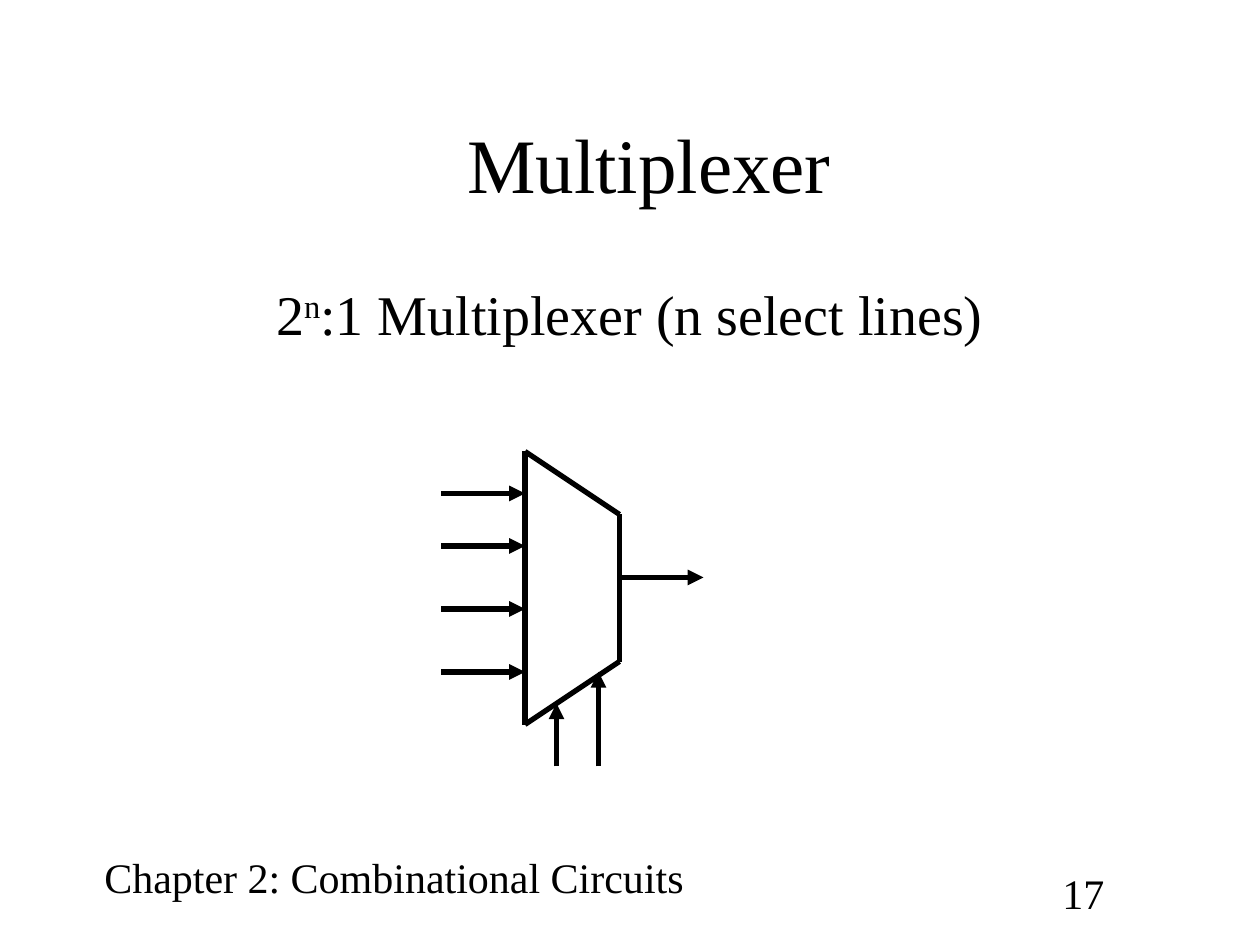
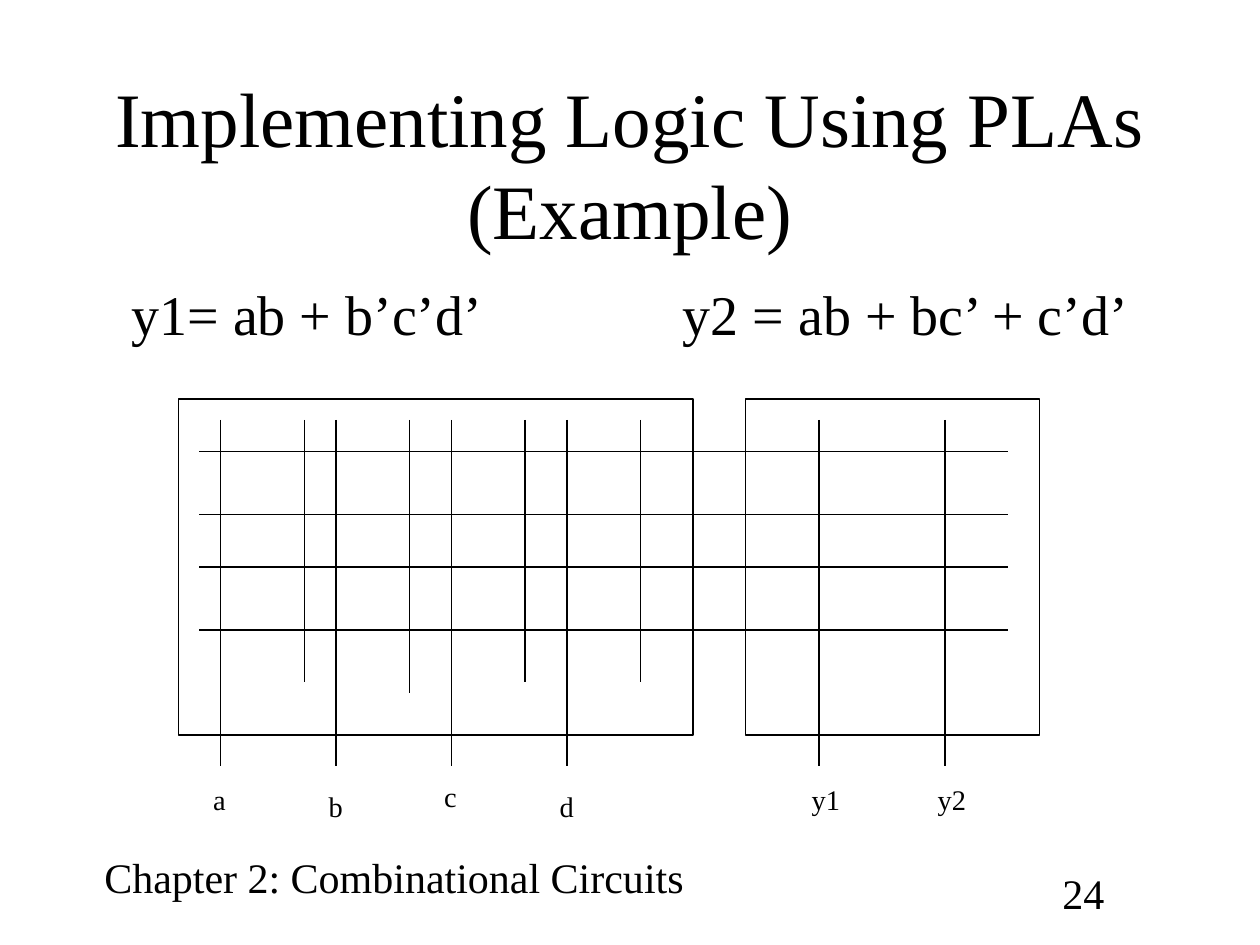
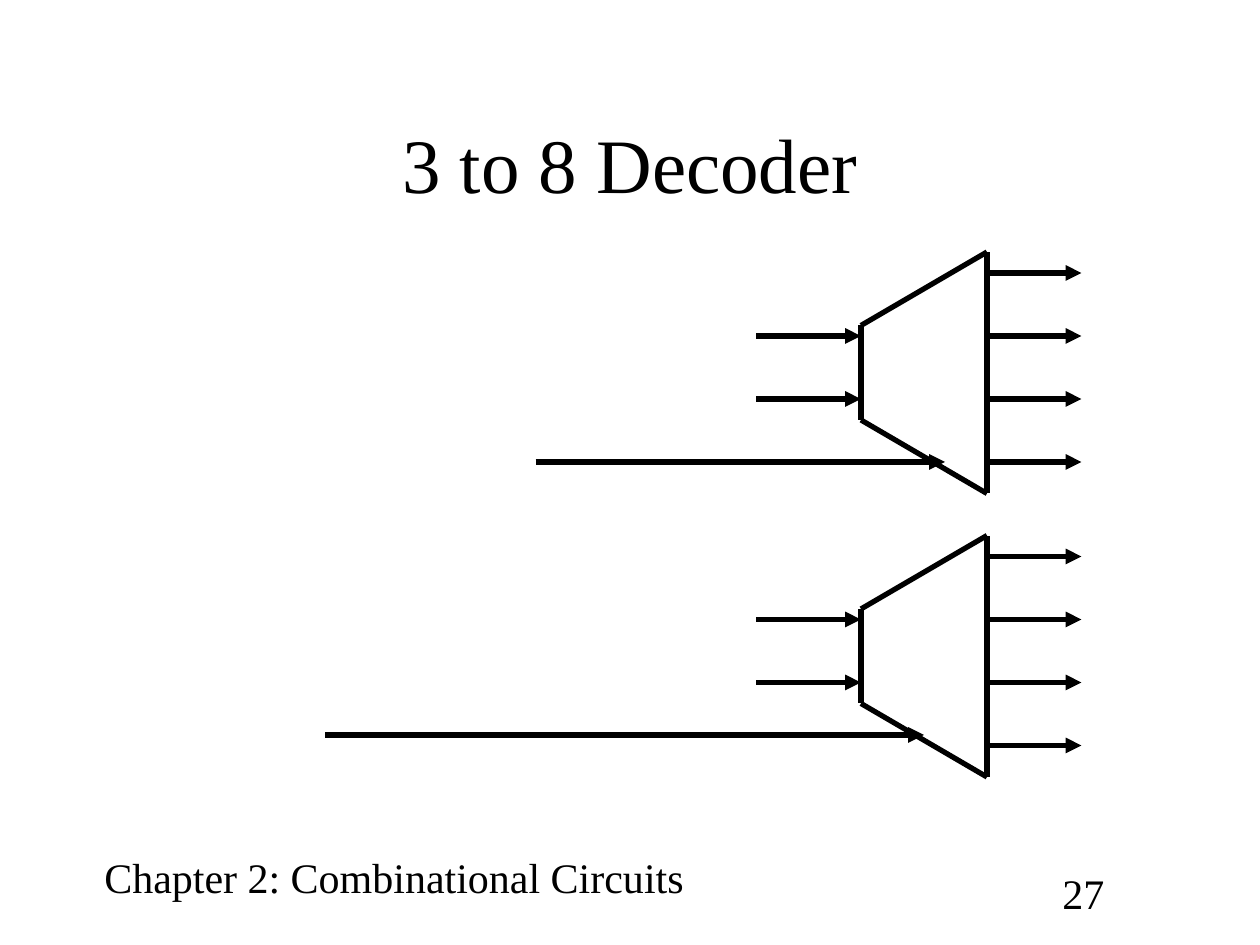
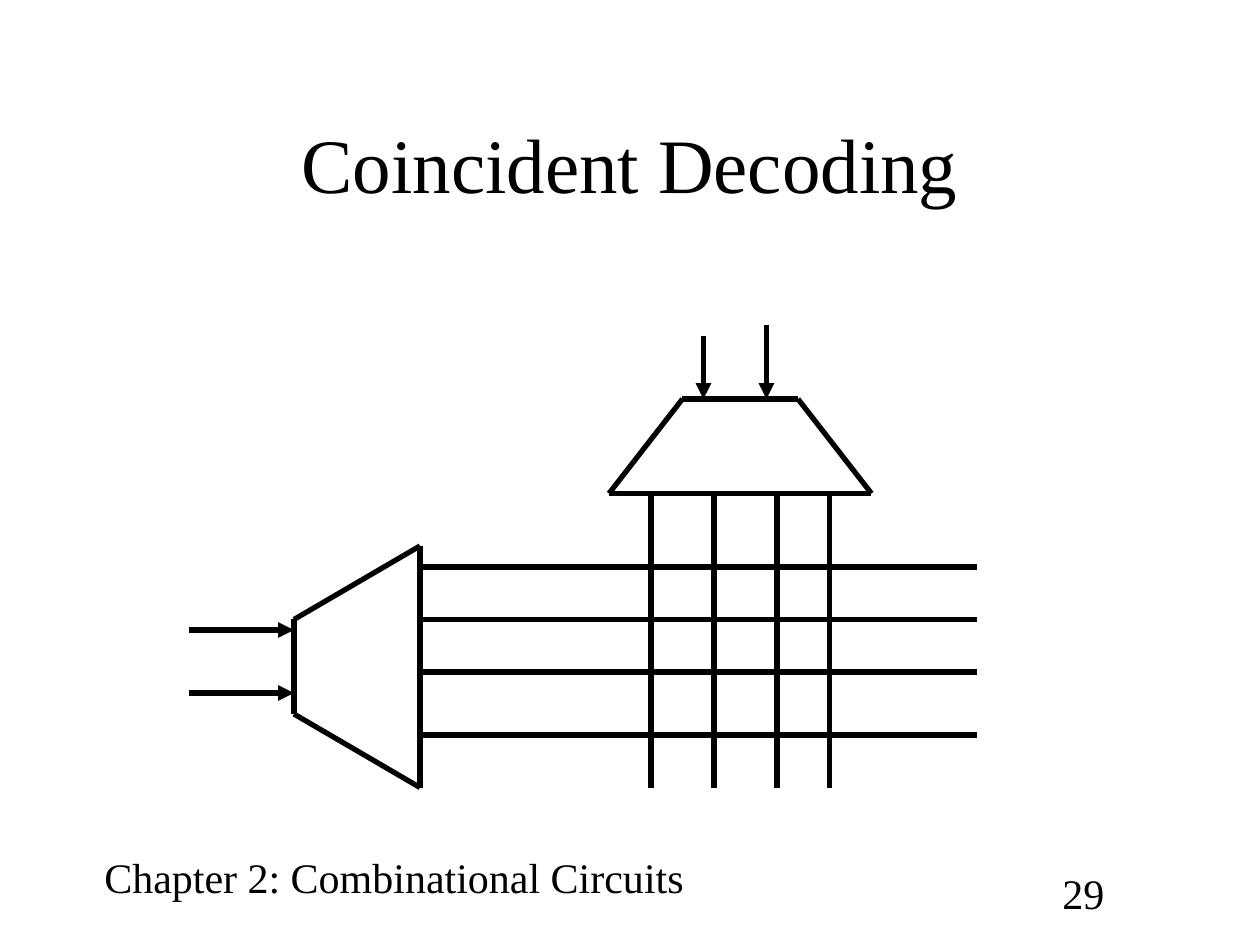
from lxml.etree import SubElement
from pptx import Presentation
from pptx.dml.color import RGBColor
from pptx.enum.shapes import MSO_CONNECTOR, MSO_SHAPE
from pptx.enum.text import MSO_ANCHOR, MSO_AUTO_SIZE, PP_ALIGN
from pptx.oxml.ns import qn
from pptx.util import Emu, Pt

PX = 9525  # EMU per px, 96 px to the inch
COLORS = {"ink": "000000", "paper": "FFFFFF"}
INK = RGBColor.from_string(COLORS["ink"])
FONT = "Times New Roman"
THICK, THIN = 3, 0.75


def write(sp, runs, size, align=PP_ALIGN.LEFT, wrap=True, fit=MSO_AUTO_SIZE.NONE):
    """Fill a shape with one paragraph of (text, is_superscript) runs."""
    tf = sp.text_frame
    tf.word_wrap = wrap
    tf.auto_size = fit
    p = tf.paragraphs[0]
    p.alignment = align
    for text, superscript in runs:
        r = p.add_run()
        r.text = text
        r.font.name = FONT
        r.font.size = Pt(size)
        r.font.color.rgb = INK
        if superscript:
            r.font._element.set("baseline", "30000")
    return p


def add_line(s, start, end, weight=THICK, arrow=False):
    points = [Emu(v * PX) for v in (*start, *end)]
    line = s.shapes.add_connector(MSO_CONNECTOR.STRAIGHT, *points)
    line.line.width = Pt(weight)
    line.line.color.rgb = INK
    spPr = line._element.spPr
    if arrow:
        SubElement(spPr.find(qn("a:ln")), qn("a:tailEnd"), type="triangle")
    SubElement(spPr, qn("a:effectLst"))


prs = Presentation()
prs.slide_width, prs.slide_height = Emu(960 * PX), Emu(720 * PX)
background = prs.slide_master.background.fill
background.solid()
background.fore_color.rgb = RGBColor.from_string(COLORS["paper"])

# Titles and footers
slides = []
for title, number in (
    ("Multiplexer", "17"),
    ("Implementing Logic Using PLAs (Example)", "24"),
    ("3 to 8 Decoder", "27"),
    ("Coincident Decoding", "29"),
):
    s = prs.slides.add_slide(prs.slide_layouts[5])
    sp = s.shapes.title
    sp.left, sp.top, sp.width, sp.height = [Emu(v * PX) for v in (72, 64, 816, 120)]
    sp.text_frame.vertical_anchor = MSO_ANCHOR.MIDDLE
    write(sp, [(title, False)], 44, PP_ALIGN.CENTER)

    sp = s.shapes.add_textbox(*[Emu(v * PX) for v in (70, 644, 468, 48)])
    write(sp, [("Chapter 2: Combinational Circuits", False)], 24,
          wrap=False, fit=MSO_AUTO_SIZE.SHAPE_TO_FIT_TEXT)
    sp = s.shapes.add_textbox(*[Emu(v * PX) for v in (800, 656, 88, 48)])
    write(sp, [(number, False)], 24, fit=MSO_AUTO_SIZE.SHAPE_TO_FIT_TEXT)
    slides.append(s)

mux, pla, decoder, coincident = slides
mux.shapes.title.text_frame.margin_left = Emu(39 * PX)

# Body lines
for s, runs in (
    (mux, [("2", False), ("n", True), (":1 Multiplexer (n select lines)", False)]),
    (pla, [("y1= ab + b’c’d’\ty2 = ab + bc’ + c’d’", False)]),
):
    sp = s.shapes.add_textbox(*[Emu(v * PX) for v in (72, 208, 816, 432)])
    p = write(sp, runs, 32, PP_ALIGN.CENTER)
    if s is pla:
        tabs = SubElement(p._p.get_or_add_pPr(), qn("a:tabLst"))
        SubElement(tabs, qn("a:tab"), pos=str(420 * PX), algn="l")

# Outlines of the multiplexer and of the column decoder
for s, corners in (
    (mux, [(400, 344), (472, 392), (472, 504), (400, 552)]),
    (coincident, [(520, 304), (608, 304), (664, 376), (464, 376)]),
):
    for start, end in zip(corners, corners[1:] + corners[:1]):
        add_line(s, start, end)

# Multiplexer inputs, output and select lines
for y in (376, 416, 464, 512):
    add_line(mux, (336, y), (400, y), arrow=True)
add_line(mux, (472, 440), (536, 440), arrow=True)
for x, tip in ((424, 536), (456, 512)):
    add_line(mux, (x, 584), (x, tip), arrow=True)

# PLA planes, product terms, literals and outputs
for left, width in ((136, 392), (568, 224)):
    sp = pla.shapes.add_shape(
        MSO_SHAPE.RECTANGLE, *[Emu(v * PX) for v in (left, 304, width, 256)])
    sp.shadow.inherit = False
    sp.fill.background()
    sp.line.color.rgb = INK
    sp.line.width = Pt(THIN)
for y in (344, 392, 432, 480):
    add_line(pla, (152, y), (768, y), THIN)
for x, bottom in ((232, 520), (312, 528), (400, 520), (488, 520)):
    add_line(pla, (x, 320), (x, bottom), THIN)
for name, x, top, width in (
    ("a", 168, 587, 32),
    ("b", 256, 592, 32),
    ("c", 344, 584, 32),
    ("d", 432, 592, 32),
    ("y1", 624, 587, 44),
    ("y2", 720, 587, 44),
):
    add_line(pla, (x, 320), (x, 584), THIN)
    sp = pla.shapes.add_textbox(*[Emu(v * PX) for v in (x - 15, top, width, 55)])
    write(sp, [(name, True)], 28)

# 2 to 4 decoders with their two inputs
for s, left, top in ((decoder, 656, 192), (decoder, 656, 408), (coincident, 224, 416)):
    right = left + 96
    corners = [(left, top + 56), (left, top + 128), (right, top + 184), (right, top)]
    for start, end in zip(corners, corners[1:] + corners[:1]):
        add_line(s, start, end)
    for y in (top + 64, top + 112):
        add_line(s, (left - 80, y), (left, y), arrow=True)
    if s is decoder:
        for y in range(top + 16, top + 161, 48):
            add_line(s, (right, y), (right + 72, y), arrow=True)

# Enable lines
for x, tip, y in ((408, 720, 352), (248, 704, 560)):
    add_line(decoder, (x, y), (tip, y), arrow=True)

# Coincident grid and column inputs
for y in (432, 472, 512, 560):
    add_line(coincident, (320, y), (744, y))
for x in (496, 544, 592, 632):
    add_line(coincident, (x, 376), (x, 600))
for x, y in ((536, 256), (584, 248)):
    add_line(coincident, (x, y), (x, 304), arrow=True)

prs.save("out.pptx")
